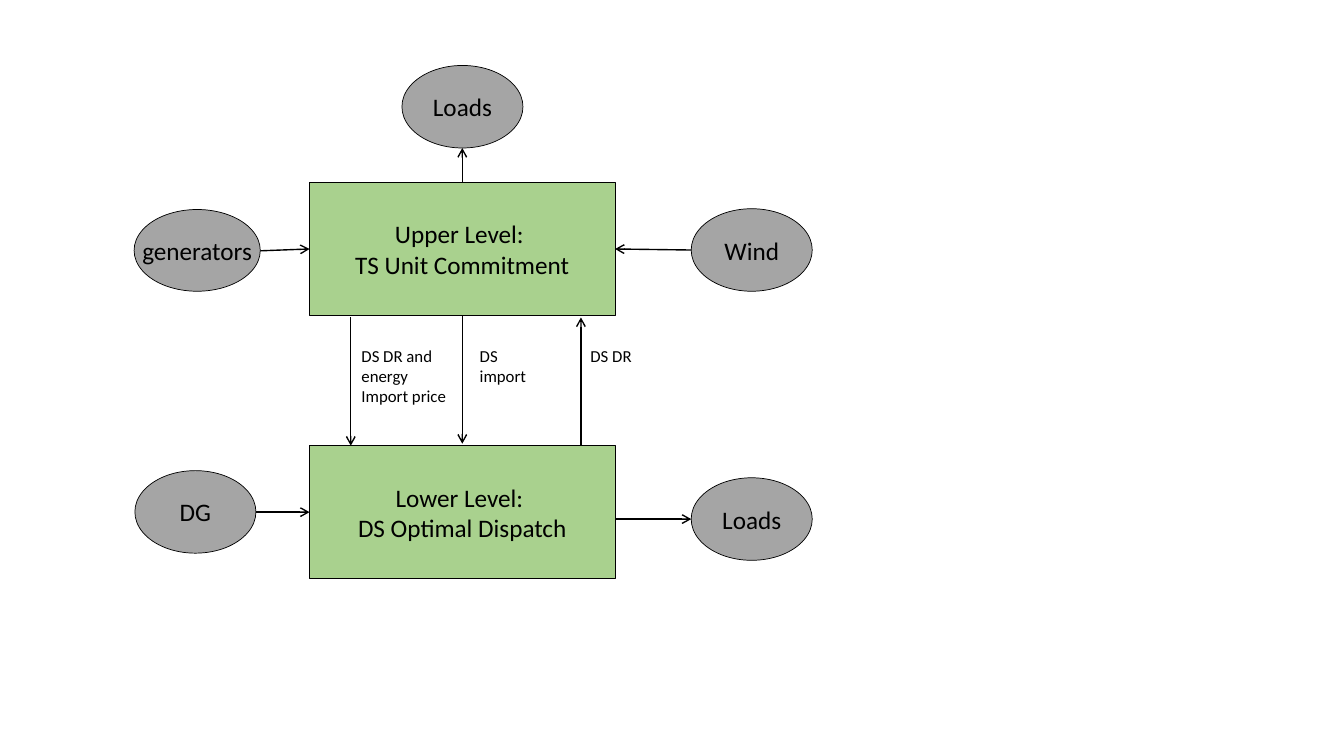
from dataclasses import dataclass
from typing import Optional

import pptx
import pptx.dml.color
import pptx.enum.shapes
import pptx.enum.text
import pptx.oxml
import pptx.oxml.ns
import pptx.shapes.autoshape
import pptx.slide
import pptx.text.text
import pptx.util
from pptx.util import Cm

BLACK = pptx.dml.color.RGBColor(0x00, 0x00, 0x00)
GREEN = pptx.dml.color.RGBColor(0xA9, 0xD1, 0x8E)
GREY = pptx.dml.color.RGBColor(0xA5, 0xA5, 0xA5)
FONT = "Calibri"
RECTANGLE = pptx.enum.shapes.MSO_SHAPE.RECTANGLE
OVAL = pptx.enum.shapes.MSO_SHAPE.OVAL
CENTER = pptx.enum.text.PP_ALIGN.CENTER
LEFT_ALIGNED = pptx.enum.text.PP_ALIGN.LEFT
TOP, LEFT, BOTTOM, RIGHT = range(4)


@dataclass(frozen=True)
class Block:
    """A piece of text with its place, in centimetres."""
    lines: tuple[str, ...]
    left: float
    top: float
    width: float
    height: float


@dataclass(frozen=True)
class Joint:
    """The middle of one side of a level's rectangle."""
    level: pptx.shapes.autoshape.Shape
    side: int


@dataclass(frozen=True)
class Arrow:
    start: tuple[float, float]
    end: tuple[float, float]
    start_joint: Optional[Joint] = None
    end_joint: Optional[Joint] = None


LEVEL_LEFT, LEVEL_WIDTH, LEVEL_HEIGHT = 7.8, 7.7, 3.35
LEVEL_RIGHT = LEVEL_LEFT + LEVEL_WIDTH
MIDDLE_X = LEVEL_LEFT + LEVEL_WIDTH / 2
UPPER_TOP, LOWER_TOP = 4.6, 11.23
UPPER_BOTTOM = UPPER_TOP + LEVEL_HEIGHT
UPPER_Y = UPPER_TOP + LEVEL_HEIGHT / 2
LOWER_Y = LOWER_TOP + LEVEL_HEIGHT / 2
NODE_WIDTH, NODE_HEIGHT = 3.05, 2.08
RIGHT_NODES = 17.42
PRICE_X, RESPONSE_X = 8.84, 14.63
EXCHANGE_TOP = 8.0
LABEL_TOP = 8.59

UPPER_LEVEL = Block(("Upper Level: ", "TS Unit Commitment"),
                    LEVEL_LEFT, UPPER_TOP, LEVEL_WIDTH, LEVEL_HEIGHT)
LOWER_LEVEL = Block(("Lower Level: ", "DS Optimal Dispatch"),
                    LEVEL_LEFT, LOWER_TOP, LEVEL_WIDTH, LEVEL_HEIGHT)
NODES = (
    Block(("Loads",), 10.13, 1.65, NODE_WIDTH, NODE_HEIGHT),
    Block(("Wind",), RIGHT_NODES, 5.26, NODE_WIDTH, NODE_HEIGHT),
    Block(("generators",), 3.38, 5.28, 3.18, 2.06),
    Block(("Loads",), RIGHT_NODES, 12.04, NODE_WIDTH, NODE_HEIGHT),
    Block(("DG",), 3.4, 11.86, NODE_WIDTH, NODE_HEIGHT),
)
LABELS = (
    Block(("DS DR",), RESPONSE_X, LABEL_TOP, 1.57, 0.76),
    Block(("DS", "import"), 11.84, LABEL_TOP, 1.7, 1.27),
    Block(("DS DR and", "energy", "Import price"), 8.86, LABEL_TOP, 2.67, 1.8),
)


def write_lines(frame: pptx.text.text.TextFrame, lines: tuple[str, ...],
                size: int, alignment: pptx.enum.text.PP_ALIGN) -> None:
    frame.text = "\n".join(lines)
    for paragraph in frame.paragraphs:
        paragraph.alignment = alignment
        paragraph.font.name = FONT
        paragraph.font.size = pptx.util.Pt(size)
        paragraph.font.color.rgb = BLACK


def draw_shape(slide: pptx.slide.Slide, block: Block,
               outline: pptx.enum.shapes.MSO_SHAPE,
               fill: pptx.dml.color.RGBColor) -> pptx.shapes.autoshape.Shape:
    shape = slide.shapes.add_shape(outline, Cm(block.left), Cm(block.top),
                                   Cm(block.width), Cm(block.height))
    shape.shadow.inherit = False
    shape.fill.solid()
    shape.fill.fore_color.rgb = fill
    shape.line.color.rgb = BLACK
    shape.line.width = pptx.util.Pt(0.5)
    frame = shape.text_frame
    frame.margin_left = frame.margin_right = 0
    frame.margin_top = frame.margin_bottom = 0
    frame.word_wrap = False
    frame.vertical_anchor = pptx.enum.text.MSO_ANCHOR.MIDDLE
    write_lines(frame, block.lines, 18, CENTER)
    return shape


def draw_label(slide: pptx.slide.Slide, label: Block) -> None:
    box = slide.shapes.add_textbox(Cm(label.left), Cm(label.top),
                                   Cm(label.width), Cm(label.height))
    box.text_frame.word_wrap = False
    write_lines(box.text_frame, label.lines, 12, LEFT_ALIGNED)


def draw_arrow(slide: pptx.slide.Slide, arrow: Arrow) -> None:
    connector = slide.shapes.add_connector(
        pptx.enum.shapes.MSO_CONNECTOR.STRAIGHT,
        *(Cm(length) for length in arrow.start + arrow.end))
    if arrow.start_joint:
        connector.begin_connect(arrow.start_joint.level, arrow.start_joint.side)
    if arrow.end_joint:
        connector.end_connect(arrow.end_joint.level, arrow.end_joint.side)
    connector.line.color.rgb = BLACK
    connector.line.width = pptx.util.Pt(1)
    namespace = pptx.oxml.ns.nsdecls("a")
    connector.line._get_or_add_ln().append(
        pptx.oxml.parse_xml(f'<a:tailEnd {namespace} type="arrow"/>'))
    connector._element.spPr.append(
        pptx.oxml.parse_xml(f"<a:effectLst {namespace}/>"))


def main() -> None:
    presentation = pptx.Presentation()
    presentation.slide_width = Cm(33.87)
    presentation.slide_height = Cm(19.05)
    slide = presentation.slides.add_slide(presentation.slide_layouts[6])

    upper = draw_shape(slide, UPPER_LEVEL, RECTANGLE, GREEN)
    lower = draw_shape(slide, LOWER_LEVEL, RECTANGLE, GREEN)
    for label in LABELS:
        draw_label(slide, label)
    for node in NODES:
        draw_shape(slide, node, OVAL, GREY)

    arrows = (
        Arrow((PRICE_X, EXCHANGE_TOP), (PRICE_X, LOWER_TOP)),
        Arrow((RESPONSE_X + 0.01, LOWER_TOP), (RESPONSE_X + 0.01, EXCHANGE_TOP)),
        Arrow((6.56, 6.32), (LEVEL_LEFT, UPPER_Y), end_joint=Joint(upper, LEFT)),
        Arrow((RIGHT_NODES, 6.3), (LEVEL_RIGHT, UPPER_Y),
              end_joint=Joint(upper, RIGHT)),
        Arrow((6.45, LOWER_Y), (LEVEL_LEFT, LOWER_Y), end_joint=Joint(lower, LEFT)),
        Arrow((MIDDLE_X, UPPER_TOP), (MIDDLE_X, 3.73),
              start_joint=Joint(upper, TOP)),
        Arrow((MIDDLE_X, UPPER_BOTTOM), (MIDDLE_X, 11.18),
              start_joint=Joint(upper, BOTTOM)),
        Arrow((LEVEL_RIGHT, 13.08), (RIGHT_NODES, 13.08)),
    )
    for arrow in arrows:
        draw_arrow(slide, arrow)

    presentation.save("out.pptx")


if __name__ == "__main__":
    main()
